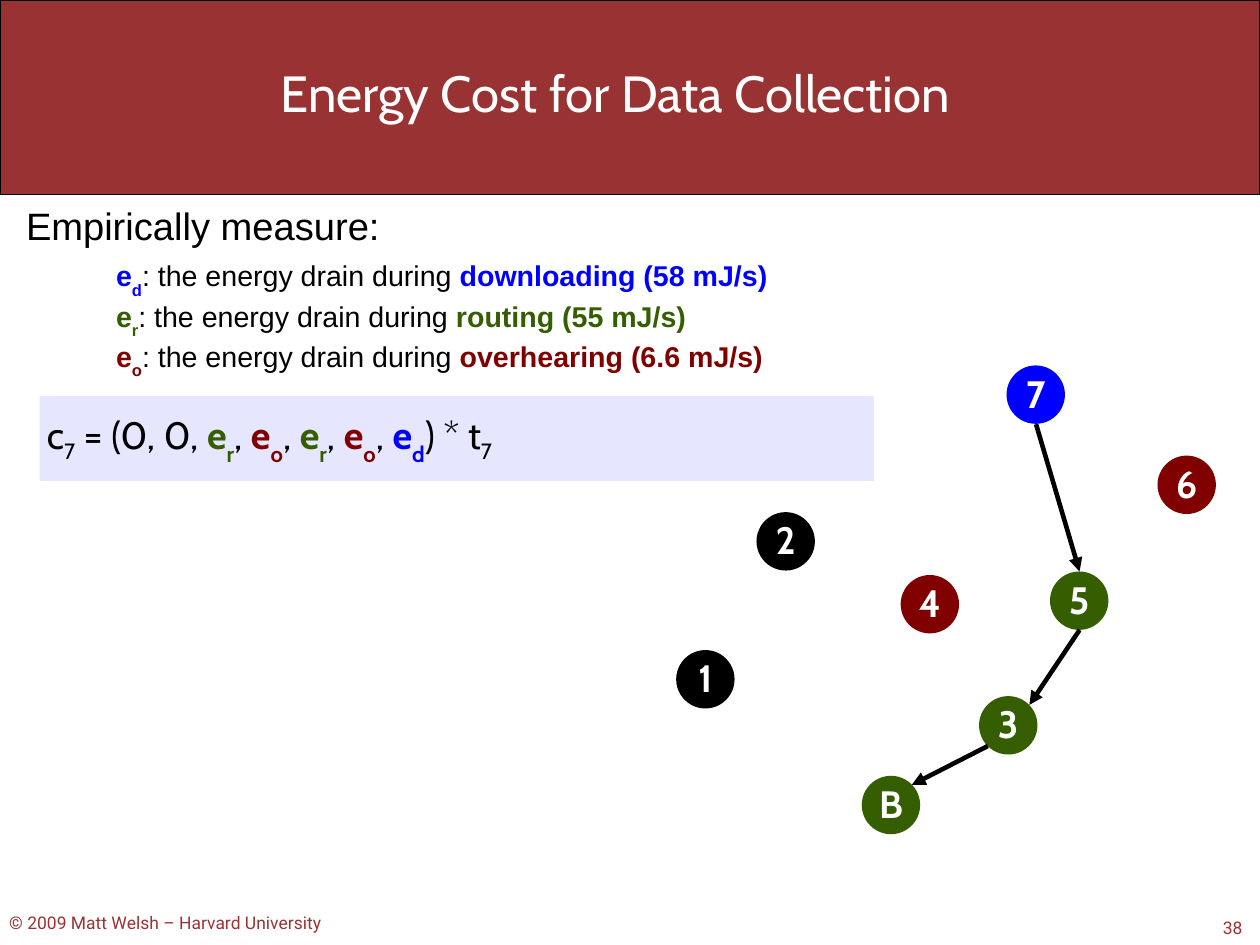
"""Build the slide on the energy cost of data collection."""
import pptx
import pptx.util
import pptx.dml.color
import pptx.enum.shapes
import pptx.enum.text
import pptx.oxml
import pptx.oxml.ns

Pt = pptx.util.Pt
SHAPE = pptx.enum.shapes.MSO_SHAPE
ALIGN = pptx.enum.text.PP_ALIGN
ANCHOR = pptx.enum.text.MSO_ANCHOR

BLACK, WHITE, BRICK, LILAC = "000000", "FFFFFF", "993333", "E6E6FF"
BLUE, GREEN, MAROON = "0000FF", "355E00", "800000"


def paint(fmt, color):
    if hasattr(fmt, "solid"):
        fmt.solid()
        fmt = fmt.fore_color
    fmt.rgb = pptx.dml.color.RGBColor.from_string(color)


def write(p, text, font="Cabin", size=24, color=BLACK, bold=False, baseline=0):
    r = p.add_run()
    r.text = text
    r.font.name = font
    r.font.size = Pt(size)
    r.font.bold = bold
    paint(r.font.color, color)
    if baseline:
        r._r.get_or_add_rPr().set("baseline", str(baseline * 1000))


prs = pptx.Presentation()
prs.slide_width, prs.slide_height = Pt(793.75), Pt(595.25)
s = prs.slides.add_slide(prs.slide_layouts[6])

panels = []
for kind, left, top, width, height, fill in [
    (SHAPE.ROUNDED_RECTANGLE, 0, 0, 793.75, 122.8, BRICK),
    (SHAPE.RECTANGLE, 25, 249.6, 525.6, 53.3, LILAC),
]:
    sp = s.shapes.add_shape(kind, Pt(left), Pt(top), Pt(width), Pt(height))
    sp.shadow.inherit = False
    paint(sp.fill, fill)
    sp.line.fill.background()
    panels.append(sp)
header, formula = panels
header.adjustments[0] = 0
paint(header.line.fill, BLACK)
header.line.width = Pt(0.75)

boxes = []
for left, top, width, height, wrap in [
    (49, 39.6, 677.5, 37.4, True),
    (16.4, 128.9, 741.6, 162.7, True),
    (5.8, 574.3, 216.7, 13.7, False),
    (770.4, 577.4, 50.4, 13.7, False),
]:
    tf = s.shapes.add_textbox(Pt(left), Pt(top), Pt(width), Pt(height)).text_frame
    tf.margin_left = tf.margin_top = tf.margin_right = tf.margin_bottom = 0
    tf.word_wrap = wrap
    boxes.append(tf)
title, measures, copyright_line, number = boxes

title.vertical_anchor = ANCHOR.MIDDLE
p = title.paragraphs[0]
p.alignment = ALIGN.CENTER
write(p, "Energy Cost for Data Collection", size=32, color=WHITE)
for tf, text in [
    (copyright_line, "© 2009 Matt Welsh – Harvard University"),
    (number, "38"),
]:
    write(tf.paragraphs[0], text, font="Roboto", size=11, color=BRICK)

p = measures.paragraphs[0]
p.line_spacing = 0.98
write(p, "Empirically measure:", font="Arial")
for sub, activity, color, gap in [
    ("d", "downloading (58 mJ/s)", BLUE, 5.4),
    ("r", "routing (55 mJ/s)", GREEN, 0),
    ("o", "overhearing (6.6 mJ/s)", MAROON, 0),
]:
    p = measures.add_paragraph()
    p.line_spacing = 0.98
    p.space_before = Pt(gap)
    p._p.get_or_add_pPr().set("marL", str(Pt(56.7)))
    write(p, "e", font="Arial", size=18, color=color, bold=True)
    write(p, sub, font="Arial", size=18, color=color, bold=True, baseline=-33)
    write(p, ": the energy drain during ", font="Arial", size=18)
    write(p, activity, font="Arial", size=18, color=color, bold=True)

tf = formula.text_frame
tf.margin_left = Pt(4.5)
tf.margin_top = tf.margin_right = tf.margin_bottom = 0
tf.word_wrap = True
tf.vertical_anchor = ANCHOR.MIDDLE
p = tf.paragraphs[0]
p.alignment = ALIGN.LEFT
p.line_spacing = 0.98
write(p, "c")
write(p, "7", baseline=-25)
write(p, " = (0, 0, ")
for sub, color, after in [
    ("r", GREEN, ", "),
    ("o", MAROON, ", "),
    ("r", GREEN, ", "),
    ("o", MAROON, ", "),
    ("d", BLUE, ") * t"),
]:
    write(p, "e", color=color, bold=True)
    write(p, sub, color=color, bold=True, baseline=-33)
    write(p, after)
write(p, "7", baseline=-25)

for label, left, top, color in [
    ("B", 542.9, 488.7, GREEN),
    ("3", 616.8, 438.5, GREEN),
    ("4", 567.4, 362.2, MAROON),
    ("5", 661.5, 360, GREEN),
    ("6", 729.2, 287, MAROON),
    ("7", 634.1, 230.2, BLUE),
    ("1", 426, 409.5, BLACK),
    ("2", 476.6, 322.6, BLACK),
]:
    sp = s.shapes.add_shape(SHAPE.OVAL, Pt(left), Pt(top), Pt(36.8), Pt(36.8))
    sp.shadow.inherit = False
    paint(sp.fill, color)
    sp.line.fill.background()
    tf = sp.text_frame
    tf.margin_left = tf.margin_top = tf.margin_right = tf.margin_bottom = 0
    tf.word_wrap = False
    tf.vertical_anchor = ANCHOR.MIDDLE
    p = tf.paragraphs[0]
    p.alignment = ALIGN.CENTER
    p.line_spacing = 0.98
    write(p, label, color=WHITE, bold=True)

for x1, y1, x2, y2 in [
    (652.7, 267.2, 680.1, 360),
    (680.1, 396.8, 648.5, 444),
    (622.3, 469.9, 574.4, 494.4),
]:
    hop = s.shapes.add_connector(
        pptx.enum.shapes.MSO_CONNECTOR.STRAIGHT, Pt(x1), Pt(y1), Pt(x2), Pt(y2)
    )
    paint(hop.line.fill, BLACK)
    hop.line.width = Pt(2.89)
    ln = hop.line._get_or_add_ln()
    ln.append(pptx.oxml.parse_xml(
        f'<a:tailEnd {pptx.oxml.ns.nsdecls("a")} type="triangle"/>'))
    hop._element.spPr.append(pptx.oxml.parse_xml(
        f'<a:effectLst {pptx.oxml.ns.nsdecls("a")}/>'))

prs.save("out.pptx")
